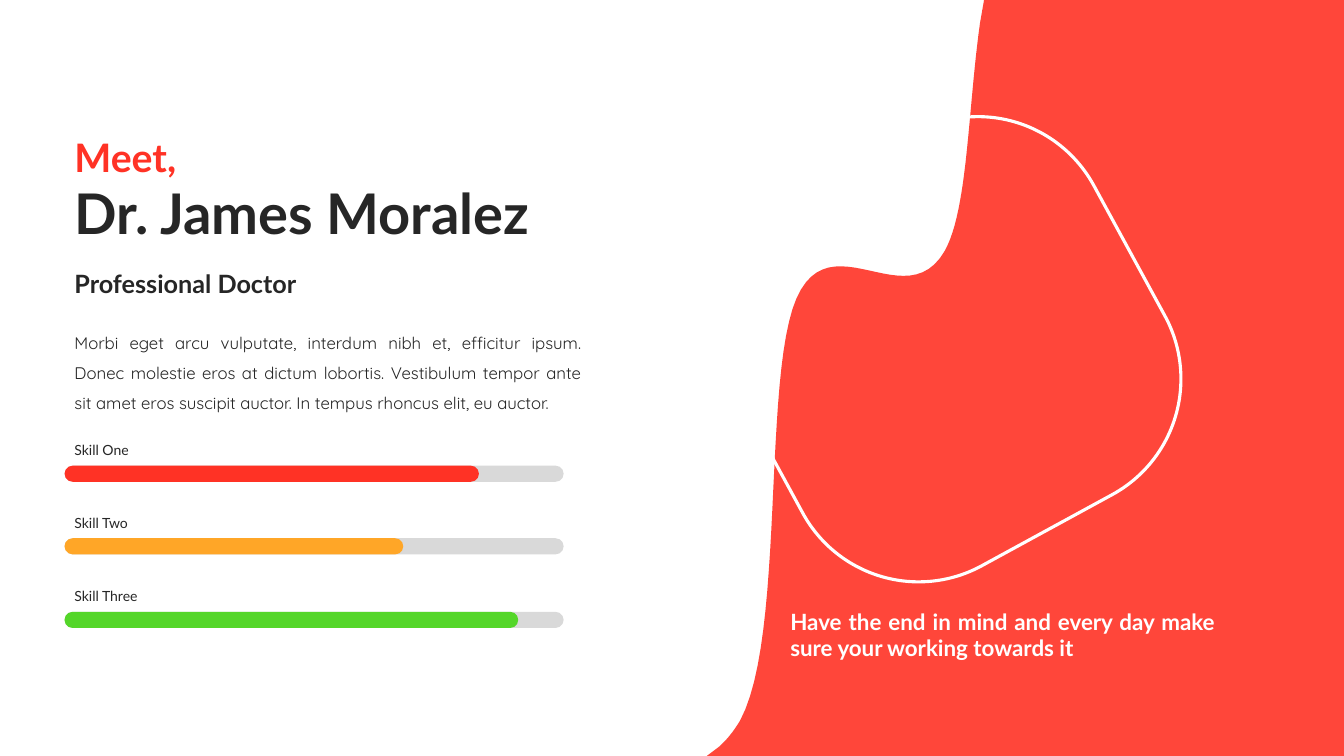
from lxml import etree
from pptx import Presentation
from pptx.dml.color import RGBColor
from pptx.enum.shapes import MSO_SHAPE
from pptx.enum.text import MSO_ANCHOR, MSO_AUTO_SIZE, PP_ALIGN
from pptx.oxml.ns import qn
from pptx.util import Pt

ROUND = MSO_SHAPE.ROUNDED_RECTANGLE
TOP, MIDDLE = MSO_ANCHOR.TOP, MSO_ANCHOR.MIDDLE
GROW, FIXED = MSO_AUTO_SIZE.SHAPE_TO_FIT_TEXT, MSO_AUTO_SIZE.NONE
LEFT, JUSTIFY = PP_ALIGN.LEFT, PP_ALIGN.JUSTIFY

RED = RGBColor(0xFF, 0x32, 0x25)
ORANGE = RGBColor(0xFF, 0xA6, 0x27)
GREEN = RGBColor(0x54, 0xD6, 0x29)
GREY = RGBColor(0xD9, 0xD9, 0xD9)
DARK = RGBColor(0x26, 0x26, 0x26)
WHITE = RGBColor(0xFF, 0xFF, 0xFF)

SCALE = 9144
STEPS = 24
MARGIN = 64
BAR_WIDTH = 495
SKILLS = [
    ("Skill One", 411, RED),
    ("Skill Two", 336, ORANGE),
    ("Skill Three", 450, GREEN),
]
WAVE = [
    (976, 0), (1333, 0), (1333, 750), (701, 750), (713, 741),
    (721, 734, 728, 725, 734, 715),
    (779, 632, 756, 374, 790, 296),
    (824, 219, 899, 315, 937, 249),
    (960, 208, 960, 108, 972, 23),
]


def px(value):
    return round(value * SCALE)


def trace(parts):
    points = []
    for part in parts:
        if len(part) == 2:
            points.append(part)
            continue
        knots = [points[-1], part[:2], part[2:4], part[4:]]
        for step in range(1, STEPS + 1):
            t = step / STEPS
            u = 1 - t
            weights = (u ** 3, 3 * u * u * t, 3 * u * t * t, t ** 3)
            points.append(tuple(
                sum(w * knot[axis] for w, knot in zip(weights, knots))
                for axis in (0, 1)))
    return [(px(x), px(y)) for x, y in points]


def add_wave(slide):
    start, *rest = trace(WAVE)
    outline = slide.shapes.build_freeform(*start)
    outline.add_line_segments(rest, close=True)
    wave = outline.convert_to_shape()
    wave.shadow.inherit = False
    wave.fill.solid()
    wave.fill.fore_color.rgb = RED
    wave.line.fill.background()
    color = wave.fill._xPr.find(qn("a:solidFill"))[0]
    etree.SubElement(color, qn("a:alpha")).set("val", "90000")


def add_round(slide, left, top, width, height, ratio):
    shape = slide.shapes.add_shape(
        ROUND, px(left), px(top), px(width), px(height))
    shape.adjustments[0] = ratio
    shape.shadow.inherit = False
    return shape


def add_ring(slide):
    ring = add_round(slide, 736, 142, 409, 409, 0.32)
    ring.rotation = 331.4
    ring.fill.background()
    ring.line.color.rgb = WHITE
    ring.line.width = Pt(2.25)


def add_bar(slide, top, width, color):
    bar = add_round(slide, MARGIN, top, width, 16, 0.5)
    bar.fill.solid()
    bar.fill.fore_color.rgb = color
    bar.line.fill.background()


def add_text(slide, box, text, size, color=DARK, bold=False, font="Lato",
             anchor=MIDDLE, align=LEFT, spacing=None, fit=GROW):
    frame = slide.shapes.add_textbox(*map(px, box)).text_frame
    frame.word_wrap = True
    frame.auto_size = fit
    frame.vertical_anchor = anchor
    line = frame.paragraphs[0]
    line.text = text
    line.alignment = align
    line.line_spacing = spacing
    line.font.name = font
    line.font.size = Pt(size)
    line.font.bold = bold
    line.font.color.rgb = color


def add_skill(slide, index, name, width, color):
    shift = index * 145 // 2
    add_bar(slide, 462 + shift, BAR_WIDTH, GREY)
    add_bar(slide, 462 + shift, width, color)
    add_text(slide, (MARGIN, 433 + shift, BAR_WIDTH, 27), name, 10)


def main():
    deck = Presentation()
    deck.slide_width, deck.slide_height = px(1333), px(750)
    slide = deck.slides.add_slide(deck.slide_layouts[6])
    add_wave(slide)
    add_ring(slide)
    add_text(slide, (MARGIN, 127, 233, 57), "Meet,", 28, RED, True)
    add_text(slide, (MARGIN, 142, 508, 145), "Dr. James Moralez", 40,
             bold=True, spacing=0.9, fit=FIXED)
    add_text(slide, (MARGIN, 261, 323, 40), "Professional Doctor", 18,
             bold=True)
    add_text(slide, (MARGIN, 315, 523, 101),
             "Morbi eget arcu vulputate, interdum nibh et, efficitur ipsum. "
             "Donec molestie eros at dictum lobortis. Vestibulum tempor ante "
             "sit amet eros suscipit auctor. In tempus rhoncus elit, eu auctor.",
             12, font="Quicksand", anchor=TOP, align=JUSTIFY, spacing=1.5)
    for index, skill in enumerate(SKILLS):
        add_skill(slide, index, *skill)
    add_text(slide, (774, 598, 441, 64),
             "Have the end in mind and every day make sure your working "
             "towards it", 16, WHITE, True, anchor=TOP, align=JUSTIFY)
    deck.save("out.pptx")


if __name__ == "__main__":
    main()
